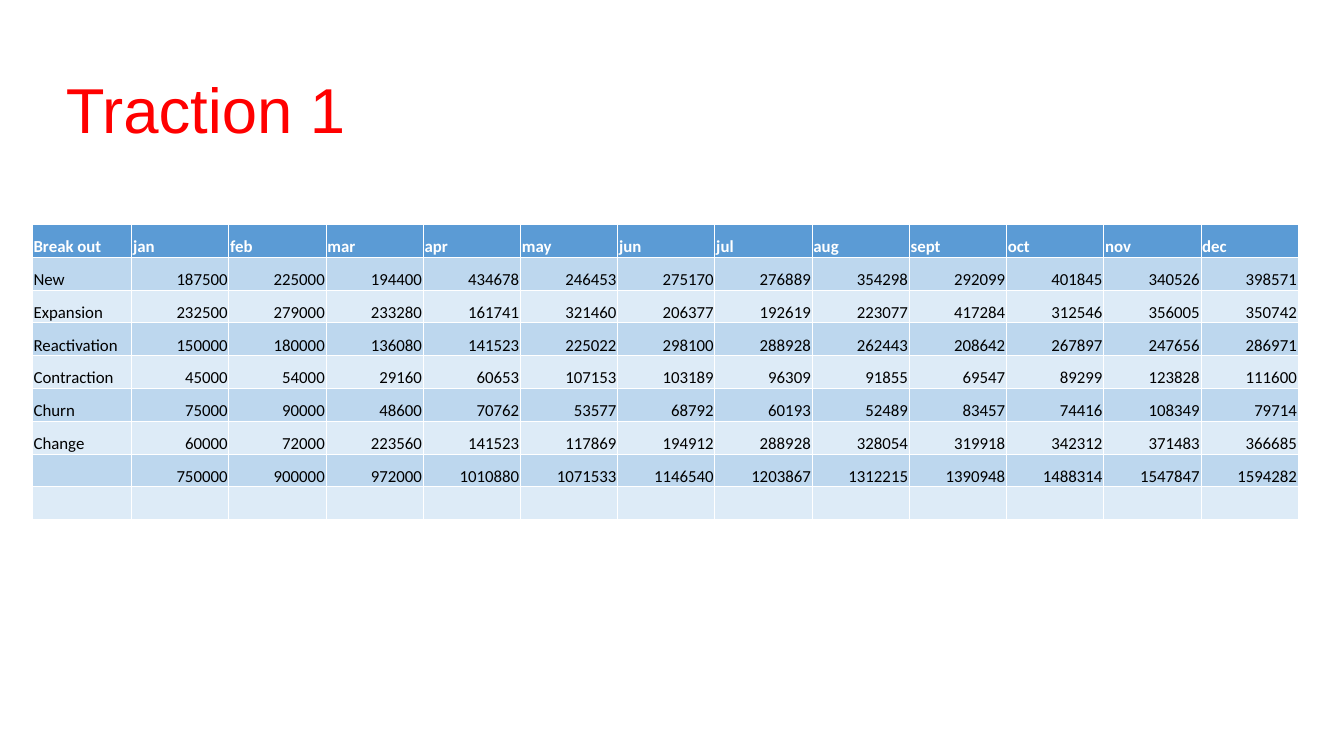
from pptx import Presentation
from pptx.dml.color import RGBColor
from pptx.enum.text import MSO_ANCHOR as Anchor, MSO_AUTO_SIZE as AutoSize, PP_ALIGN as Align
from pptx.oxml.ns import qn
from pptx.util import Inches, Pt
from lxml.etree import SubElement

SLIDE_W = 10
SLIDE_H = SLIDE_W * 9 / 16
TITLE_BOX = (0.49, 0.52, 4.42, 0.54)
TABLE_BOX = (0.24, 1.67, 9.42, 2.2)
LABEL_WIDTH = 0.74
WHITE, BLACK, RED = "FFFFFF", "000000", "FF0000"
HEADER_BLUE, BANDS = "5B9BD5", ("BDD7EE", "DDEBF7")

MONTHS = "jan feb mar apr may jun jul aug sept oct nov dec".split()
BREAKOUT = [
    ("New", [187500, 225000, 194400, 434678, 246453, 275170,
             276889, 354298, 292099, 401845, 340526, 398571]),
    ("Expansion", [232500, 279000, 233280, 161741, 321460, 206377,
                   192619, 223077, 417284, 312546, 356005, 350742]),
    ("Reactivation", [150000, 180000, 136080, 141523, 225022, 298100,
                      288928, 262443, 208642, 267897, 247656, 286971]),
    ("Contraction", [45000, 54000, 29160, 60653, 107153, 103189,
                     96309, 91855, 69547, 89299, 123828, 111600]),
    ("Churn", [75000, 90000, 48600, 70762, 53577, 68792,
               60193, 52489, 83457, 74416, 108349, 79714]),
    ("Change", [60000, 72000, 223560, 141523, 117869, 194912,
                288928, 328054, 319918, 342312, 371483, 366685]),
    ("", [750000, 900000, 972000, 1010880, 1071533, 1146540,
          1203867, 1312215, 1390948, 1488314, 1547847, 1594282]),
    ("", [""] * len(MONTHS)),
]


def color(value):
    return RGBColor.from_string(value)


def add_run(paragraph, text, font, size, ink, bold=False):
    run = paragraph.add_run()
    run.text = text
    run.font.name, run.font.size, run.font.bold = font, Pt(size), bold
    run.font.color.rgb = color(ink)


def set_margins(target, left, top, right, bottom):
    target.margin_left, target.margin_top = Inches(left), Inches(top)
    target.margin_right, target.margin_bottom = Inches(right), Inches(bottom)


def add_borders(cell, ink, width):
    # Borders come before the fill in the cell properties
    properties = cell._tc.get_or_add_tcPr()
    for side in ("a:lnL", "a:lnR", "a:lnT", "a:lnB"):
        line = SubElement(properties, qn(side), w=str(Pt(width)))
        SubElement(SubElement(line, qn("a:solidFill")), qn("a:srgbClr"), val=ink)


def fill_cell(cell, text, fill, ink, bold, align):
    add_borders(cell, WHITE, 0.5)
    cell.fill.solid()
    cell.fill.fore_color.rgb = color(fill)
    cell.vertical_anchor = Anchor.BOTTOM
    set_margins(cell, 0.01, 0.01, 0.01, 0)
    paragraph = cell.text_frame.paragraphs[0]
    paragraph.alignment = align
    if text:
        add_run(paragraph, text, "Calibri", 9, ink, bold)
    else:
        # Keeps an empty cell from stretching its row
        SubElement(paragraph._p, qn("a:endParaRPr"), sz="900")


def place_title(slide, box, text):
    title = slide.shapes.title
    title.left, title.top, title.width, title.height = map(Inches, box)
    frame = title.text_frame
    frame.word_wrap, frame.auto_size = True, AutoSize.NONE
    frame.vertical_anchor = Anchor.TOP
    set_margins(frame, 0, 0, 0, 0)
    frame.paragraphs[0].alignment = Align.LEFT
    add_run(frame.paragraphs[0], text, "Arial", 34, RED)


def place_breakout(slide, box):
    rows = [("Break out", MONTHS)] + BREAKOUT
    width, height = box[2:]
    table = slide.shapes.add_table(len(rows), len(MONTHS) + 1, *map(Inches, box)).table
    table.horz_banding = False
    for index, column in enumerate(table.columns):
        column.width = Inches((width - LABEL_WIDTH) / len(MONTHS) if index else LABEL_WIDTH)
    for r, (label, amounts) in enumerate(rows):
        table.rows[r].height = Inches(height / len(rows))
        header = r == 0
        fill = HEADER_BLUE if header else BANDS[(r - 1) % 2]
        for c, value in enumerate([label, *amounts]):
            align = Align.LEFT if header or c == 0 else Align.RIGHT
            fill_cell(table.cell(r, c), str(value), fill, WHITE if header else BLACK, header, align)


def main():
    deck = Presentation()
    deck.slide_width, deck.slide_height = Inches(SLIDE_W), Inches(SLIDE_H)
    slide = deck.slides.add_slide(deck.slide_layouts.get_by_name("Title Only"))
    place_title(slide, TITLE_BOX, "Traction 1")
    place_breakout(slide, TABLE_BOX)
    deck.save("out.pptx")


if __name__ == "__main__":
    main()
